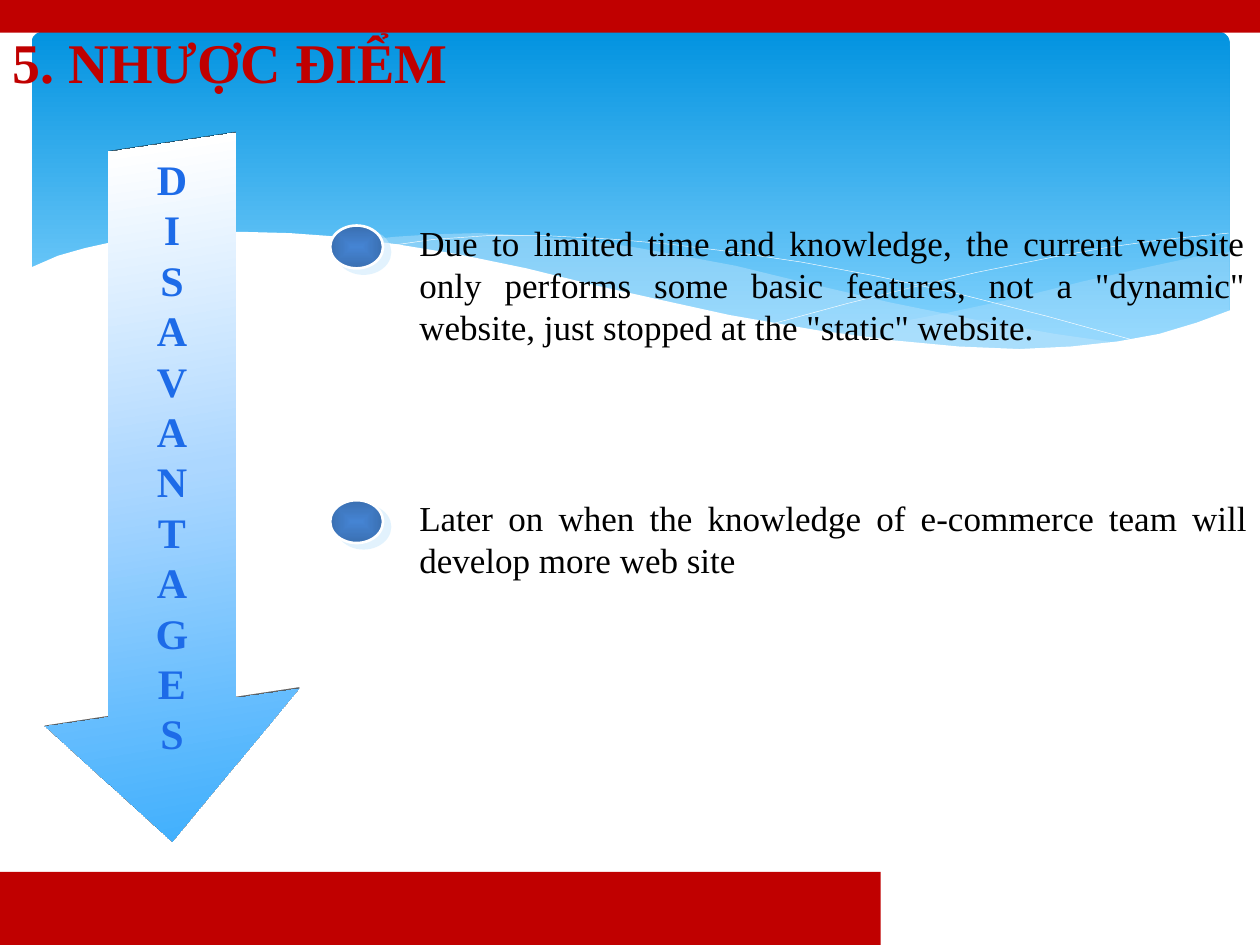
from pptx import Presentation
from pptx.dml.color import RGBColor
from pptx.enum.shapes import MSO_SHAPE
from pptx.enum.text import MSO_ANCHOR, MSO_AUTO_SIZE, PP_ALIGN
from pptx.oxml import parse_xml
from pptx.oxml.ns import nsdecls
from pptx.util import Inches, Pt

RECT, ROUND_RECT = MSO_SHAPE.RECTANGLE, MSO_SHAPE.ROUNDED_RECTANGLE
DOWN_ARROW, OVAL = MSO_SHAPE.DOWN_ARROW, MSO_SHAPE.OVAL
MIDDLE = MSO_ANCHOR.MIDDLE
LEFT, CENTER, JUSTIFY = PP_ALIGN.LEFT, PP_ALIGN.CENTER, PP_ALIGN.JUSTIFY
NO_AUTOFIT = MSO_AUTO_SIZE.NONE

RED = RGBColor(0xC0, 0x00, 0x00)
WHITE = RGBColor(0xFF, 0xFF, 0xFF)
BLACK = RGBColor(0x00, 0x00, 0x00)
PALE = RGBColor(0xC6, 0xE7, 0xFC)
SKY = RGBColor(0x31, 0xB6, 0xFD)
LETTER_BLUE = RGBColor(0x1D, 0x6B, 0xE8)
BAND_STOPS = [(0, RGBColor(0x02, 0x93, 0xE0)), (90, RGBColor(0x83, 0xD3, 0xFE))]
ARROW_STOPS = [(0, WHITE), (44, RGBColor(0xAC, 0xD7, 0xFF)),
               (100, RGBColor(0x42, 0xB0, 0xFD))]
DOT_STOPS = [(0, RGBColor(0x45, 0x84, 0xD3)), (100, RGBColor(0x3A, 0x6F, 0xB1))]
FONT = "Times New Roman"
DOWNWARD = '<a:lin ang="5400000" scaled="0"/>'
FROM_CENTER = ('<a:path path="shape"><a:fillToRect l="50000" t="50000" '
               'r="50000" b="50000"/></a:path>')

RIGHT_WAVE = [(9.76, 2), (9.48, 2.04), (9.06, 2.13), (8.61, 2.23), (8.05, 2.37),
              (7.53, 2.48), (7.06, 2.57), (6.61, 2.65), (6.91, 2.69), (7.32, 2.74),
              (7.69, 2.77), (8.14, 2.78), (8.54, 2.76), (8.89, 2.72), (9.21, 2.65),
              (9.49, 2.57), (9.76, 2.47)]
LONG_WAVE = [(8.93, 2.73), (8.37, 2.65), (7.75, 2.54), (7.06, 2.4), (6.29, 2.22),
             (5.84, 2.11), (5.41, 2.03), (5.02, 1.96), (4.65, 1.91), (4.2, 1.87),
             (3.8, 1.85), (3.44, 1.86), (3.13, 1.88), (2.86, 1.91), (3.23, 1.96),
             (3.62, 2.03), (4.04, 2.11), (4.49, 2.22), (5.3, 2.4), (6.01, 2.55),
             (6.5, 2.64), (6.95, 2.7), (7.36, 2.75), (7.73, 2.77), (8.07, 2.78),
             (8.48, 2.77), (8.93, 2.73)]
FALLING_LINE = [(3.09, 1.95), (3.44, 1.9), (3.87, 1.87), (4.33, 1.87), (4.89, 1.9),
                (5.33, 1.94), (5.82, 2), (6.36, 2.08), (6.95, 2.19), (7.6, 2.33),
                (8.31, 2.51), (9.07, 2.72)]
RISING_LINE = [(6.13, 2.57), (6.72, 2.41), (7.2, 2.29), (7.76, 2.16), (8.36, 2.04),
               (8.81, 1.96), (9.24, 1.9), (9.75, 1.85)]
WHITE_WAVE = [(9.77, 2.46), (9.5, 2.56), (9.2, 2.65), (8.87, 2.71), (8.5, 2.75),
              (8.09, 2.77), (7.61, 2.75), (7.08, 2.7), (6.48, 2.62), (5.79, 2.5),
              (5.29, 2.39), (4.75, 2.27), (4.18, 2.13), (3.65, 2.02), (3.16, 1.94),
              (2.71, 1.88), (2.3, 1.85), (1.93, 1.84), (1.61, 1.84), (1.32, 1.86),
              (1.06, 1.89), (0.85, 1.93), (0.67, 1.97), (0.46, 2.03), (0.23, 2.13),
              (0.23, 3.29), (9.77, 3.29)]


def set_gradient(sp, stops, direction):
    """Fill a preset shape with a gradient of any number of stops."""
    gs = "".join(f'<a:gs pos="{pos * 1000}"><a:srgbClr val="{color}"/></a:gs>'
                 for pos, color in stops)
    sp.element.spPr.insert(2, parse_xml(
        f'<a:gradFill {nsdecls("a")} rotWithShape="1"><a:gsLst>{gs}</a:gsLst>'
        f'{direction}</a:gradFill>'))


def add_shadow(sp, color, alpha, blur, dist, angle):
    """Give a shape an outer shadow, with lengths in points."""
    sp.element.spPr.find("./{*}effectLst").append(parse_xml(
        f'<a:outerShdw {nsdecls("a")} blurRad="{Pt(blur)}" dist="{Pt(dist)}" '
        f'dir="{angle * 60000}" algn="ctr" rotWithShape="0"><a:srgbClr val="{color}">'
        f'<a:alpha val="{alpha * 1000}"/></a:srgbClr></a:outerShdw>'))


def add_preset(s, kind, x, y, w, h):
    """Add a preset shape without outline or shadow."""
    sp = s.shapes.add_shape(kind, Inches(x), Inches(y), Inches(w), Inches(h))
    sp.line.fill.background()
    sp.shadow.inherit = False
    return sp


def add_curve(s, x, y, points, color, alpha=100, closed=True):
    """Draw a filled wave, or a thin open line, through points offset by x and y."""
    spots = [(Inches(x + px), Inches(y + py)) for px, py in points]
    fb = s.shapes.build_freeform(*spots[0])
    fb.add_line_segments(spots[1:], close=closed)
    sp = fb.convert_to_shape()
    sp.shadow.inherit = False
    if not closed:
        sp.fill.background()
        sp.line.color.rgb = color
        sp.line.width = Pt(0.25)
        return
    sp.line.fill.background()
    sp.fill.solid()
    sp.fill.fore_color.rgb = color
    if alpha < 100:
        sp.element.spPr.find("./{*}solidFill")[0].append(
            parse_xml(f'<a:alpha {nsdecls("a")} val="{alpha * 1000}"/>'))


def add_background(s, x, y, w, h):
    """Place the blue band, its waves and the red bars."""
    band = add_preset(s, ROUND_RECT, x + 0.25, y + 0.25, w - 0.49, 2.7)
    band.adjustments[0] = 0.034
    set_gradient(band, BAND_STOPS, DOWNWARD)
    add_curve(s, x, y, RIGHT_WAVE, PALE, alpha=29)
    add_curve(s, x, y, LONG_WAVE, PALE, alpha=40)
    add_curve(s, x, y, FALLING_LINE, WHITE, closed=False)
    add_curve(s, x, y, RISING_LINE, WHITE, closed=False)
    add_curve(s, x, y, WHITE_WAVE, WHITE)
    for top, width, height in ((h - 0.58, 6.99, 0.58), (0, w, 0.26)):
        bar = add_preset(s, RECT, x, y + top, width, height)
        bar.fill.solid()
        bar.fill.fore_color.rgb = RED


def format_paragraph(p, text, size, color, align, bold=False):
    """Write a paragraph in the slide's font."""
    p.text = text
    p.alignment = align
    p.font.name = FONT
    p.font.size = Pt(size)
    p.font.bold = bold
    p.font.color.rgb = color


def add_title(s, text, x, y, w, h):
    """Move the title placeholder to its box, in front of the background."""
    title = s.shapes.title
    title.left, title.top = Inches(x), Inches(y)
    title.width, title.height = Inches(w), Inches(h)
    tf = title.text_frame
    tf.auto_size = NO_AUTOFIT
    tf.vertical_anchor = MIDDLE
    format_paragraph(tf.paragraphs[0], text, 32, RED, LEFT, bold=True)
    tf.paragraphs[0].line_spacing = 0.9
    title.element.getparent().append(title.element)


def add_arrow(s, word, x, y, w, h):
    """Add the tilted down arrow with one letter of the word per line."""
    arrow = add_preset(s, DOWN_ARROW, x, y, w, h)
    set_gradient(arrow, ARROW_STOPS, DOWNWARD)
    arrow.line.color.rgb = SKY
    arrow.line.width = Pt(0.75)
    add_shadow(arrow, BLACK, 20, 6, 0, 225)
    arrow.element.spPr.append(parse_xml(
        f'<a:scene3d {nsdecls("a")}><a:camera prst="isometricOffAxis1Right"/>'
        '<a:lightRig rig="threePt" dir="t"/></a:scene3d>'))
    tf = arrow.text_frame
    tf.vertical_anchor = MIDDLE
    for i, letter in enumerate(word):
        p = tf.add_paragraph() if i else tf.paragraphs[0]
        format_paragraph(p, letter, 24, LETTER_BLUE, CENTER, bold=True)


def add_point(s, text, x, y, w, h):
    """Add a round marker and the justified text beside it."""
    dot = add_preset(s, OVAL, x, y + 0.08, 0.42, 0.34)
    set_gradient(dot, DOT_STOPS, FROM_CENTER)
    dot.line.color.rgb = WHITE
    dot.line.width = Pt(1.5)
    add_shadow(dot, PALE, 50, 0, 5, 37)
    box = s.shapes.add_textbox(Inches(x + 0.61), Inches(y), Inches(w - 0.61), Inches(h))
    tf = box.text_frame
    tf.word_wrap = True
    format_paragraph(tf.paragraphs[0], text, 20, BLACK, JUSTIFY)


def main():
    """Build the slide and save it."""
    prs = Presentation()
    prs.slide_width, prs.slide_height = Inches(10), Inches(7.5)
    s = prs.slides.add_slide(prs.slide_layouts[5])
    add_background(s, 0, 0, 10, 7.5)
    add_arrow(s, "DISAVANTAGES", 0.24, 0.98, 2.25, 5.84)
    add_title(s, "5. NHƯỢC ĐIỂM", 0, 0.18, 9.1, 0.67)
    add_point(s, "Due to limited time and knowledge, the current website only performs "
              "some basic features, not a \"dynamic\" website, just stopped at the "
              "\"static\" website.", 2.62, 1.71, 7.36, 1.11)
    add_point(s, "Later on when the knowledge of e-commerce team will develop more "
              "web site", 2.62, 3.89, 7.38, 0.77)
    prs.save("out.pptx")


if __name__ == "__main__":
    main()
